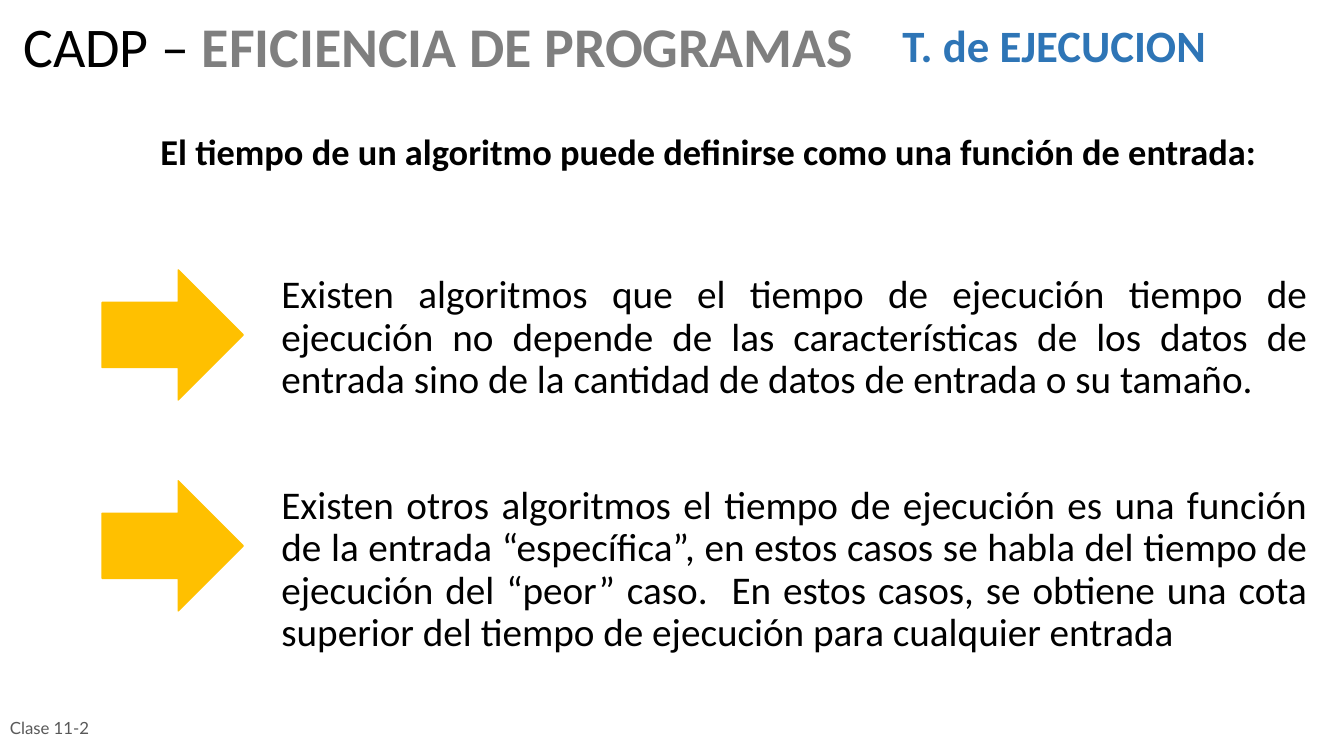
"""Builds the CADP slide on execution time as a function of the input."""
import pptx
import pptx.dml.color
import pptx.enum.shapes
import pptx.enum.text
import pptx.util

COLORS = {"black": "000000", "gray": "7F7F7F", "footer": "595959", "blue": "2E75B6", "arrow": "FFC000"}
ALIGN = pptx.enum.text.PP_ALIGN
ANCHOR = pptx.enum.text.MSO_ANCHOR

prs = pptx.Presentation()
prs.slide_width = pptx.util.Inches(13.34)
prs.slide_height = pptx.util.Inches(7.5)
col, row = prs.slide_width / 100, prs.slide_height / 100
s = prs.slides.add_slide(prs.slide_layouts[6])


def grid(x, y, w, h):
    return [round(v) for v in (x * col, y * row, w * col, h * row)]


def add_text(cell, runs, size, font="Calibri", align=ALIGN.LEFT, spacing=1.0, anchor=ANCHOR.TOP):
    tf = s.shapes.add_textbox(*grid(*cell)).text_frame
    tf.word_wrap = True
    tf.vertical_anchor = anchor
    p = tf.paragraphs[0]
    p.alignment = align
    p.line_spacing = spacing
    for text, color, bold in runs:
        r = p.add_run()
        r.text = text
        r.font.name = font
        r.font.size = pptx.util.Pt(size)
        r.font.bold = bold
        r.font.color.rgb = pptx.dml.color.RGBColor.from_string(COLORS[color])


add_text((1, 1.9, 70.2, 10.1),
         [("CADP – ", "black", False), ("EFICIENCIA DE PROGRAMAS", "gray", True)], 40, spacing=0.9)
add_text((66.4, 1.7, 25.5, 8.5), [("T. de EJECUCION", "blue", True)], 32, align=ALIGN.JUSTIFY)
add_text((11.2, 16.4, 86.8, 7.2),
         [("El tiempo de un algoritmo puede definirse como una función de entrada:", "black", True)],
         26, align=ALIGN.JUSTIFY)

cases = [
    (21.6, "Existen algoritmos que el tiempo de ejecución tiempo de ejecución no depende de las "
           "características de los datos de entrada sino de la cantidad de datos de entrada o su tamaño."),
    (25.3, "Existen otros algoritmos el tiempo de ejecución es una función de la entrada “específica”, "
           "en estos casos se habla del tiempo de ejecución del “peor” caso.  En estos casos, se obtiene "
           "una cota superior del tiempo de ejecución para cualquier entrada"),
]
for i, (height, text) in enumerate(cases):
    top = 35.7 + 27.9 * i
    sp = s.shapes.add_shape(pptx.enum.shapes.MSO_SHAPE.RIGHT_ARROW, *grid(7.6, top, 10.5, 17.2))
    sp.shadow.inherit = False
    sp.fill.solid()
    sp.fill.fore_color.rgb = pptx.dml.color.RGBColor.from_string(COLORS["arrow"])
    sp.line.color.rgb = pptx.dml.color.RGBColor.from_string(COLORS["arrow"])
    sp.line.width = pptx.util.Pt(1)
    add_text((20.2, top, 77.8, height), [(text, "black", False)], 28, align=ALIGN.JUSTIFY, spacing=0.9)

add_text((0, 93.6, 17.5, 5.3), [("Clase 11-2", "footer", False)], 12, font="Lato", anchor=ANCHOR.MIDDLE)

prs.save("out.pptx")
